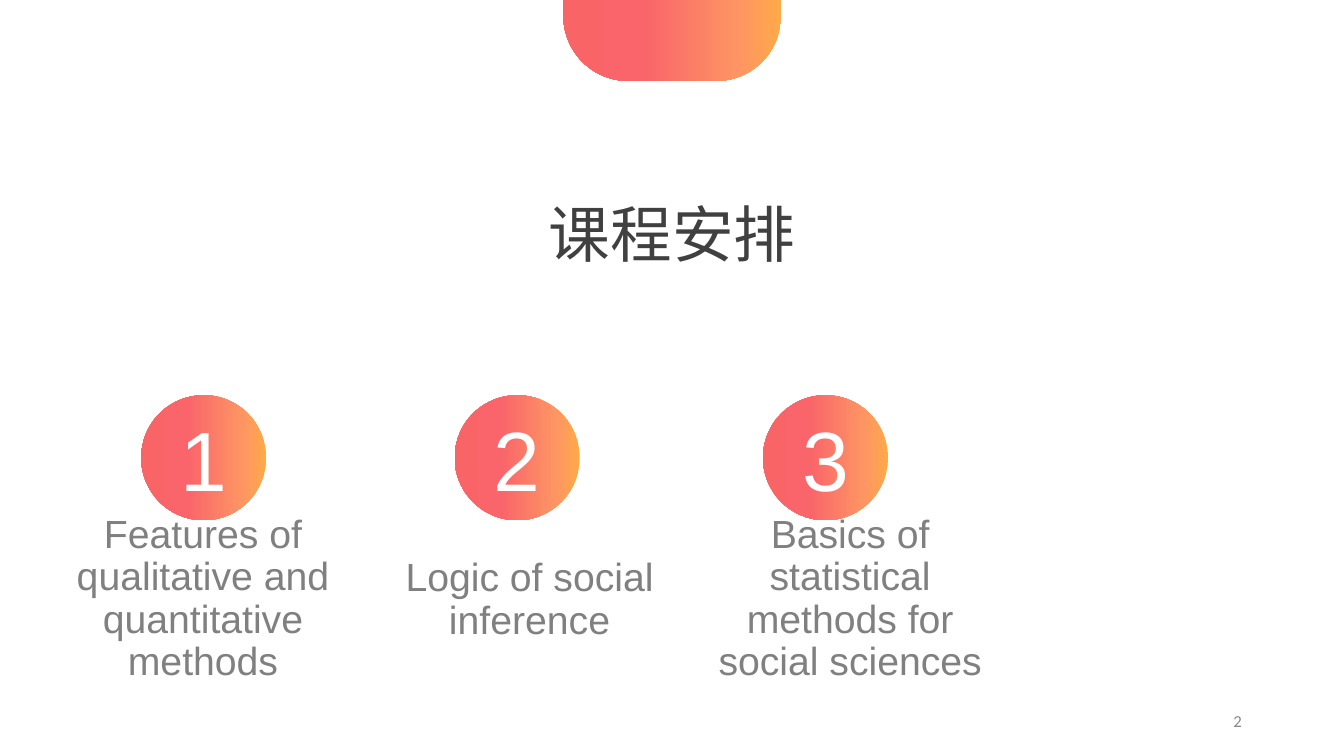
"""Build the course outline slide with three numbered topics."""
from dataclasses import dataclass

from lxml.etree import SubElement
from pptx import Presentation
from pptx.dml.color import RGBColor
from pptx.enum.shapes import MSO_SHAPE
from pptx.enum.text import MSO_ANCHOR, PP_ALIGN
from pptx.oxml.ns import qn
from pptx.shapes.autoshape import Shape
from pptx.slide import Slide
from pptx.util import Cm, Pt

WHITE = RGBColor(0xFF, 0xFF, 0xFF)
DARK = RGBColor(0x40, 0x40, 0x40)
GREY = RGBColor(0x80, 0x80, 0x80)
PALE = RGBColor(0x88, 0x88, 0x88)
AMBER = RGBColor(0xFF, 0xAA, 0x49)
PEACH = RGBColor(0xFE, 0x93, 0x64)
CORAL = RGBColor(0xF9, 0x65, 0x6A)
ROSE = RGBColor(0xF9, 0x65, 0x66)
STOPS = ((0, AMBER), (21, PEACH), (63, CORAL), (100, ROSE))

DISC_TOP = 9.96
DISC_SIZE = 3.15
LABEL_HIGH = 0.64


@dataclass(frozen=True)
class Box:
    """Place and size in centimetres."""
    left: float
    top: float
    width: float
    height: float


@dataclass(frozen=True)
class Style:
    """Look of a line of text."""
    size: int
    color: RGBColor
    font: str = "Arial"
    align: PP_ALIGN = PP_ALIGN.CENTER
    space: float = 1.0


@dataclass(frozen=True)
class Topic:
    """One numbered topic with its disc and label."""
    text: str
    disc_left: float
    left: float
    top: float
    width: float


TITLE = Style(44, DARK, space=0.9)
LABEL = Style(28, GREY, space=0.9)
DIGIT = Style(60, WHITE)
PAGE = Style(12, PALE, "Calibri", PP_ALIGN.RIGHT)

TOPICS = (
    Topic("Features of qualitative and quantitative methods", 3.56, 1.52, 14.78, 7.19),
    Topic("Logic of social inference", 11.46, 9.75, 14.81, 7.19),
    Topic("Basics of statistical methods for social sciences", 19.23, 17.55, 14.78, 7.75),
)


def write(shape: Shape, text: str, style: Style) -> None:
    """Put one styled run into a shape."""
    frame = shape.text_frame
    frame.word_wrap = True
    frame.vertical_anchor = MSO_ANCHOR.MIDDLE
    line = frame.paragraphs[0]
    line.alignment = style.align
    line.line_spacing = style.space
    run = line.add_run()
    run.text = text
    run.font.name = style.font
    run.font.size = Pt(style.size)
    run.font.color.rgb = style.color


def add_text(slide: Slide, box: Box, text: str, style: Style) -> None:
    """Add a text box."""
    shape = slide.shapes.add_textbox(Cm(box.left), Cm(box.top), Cm(box.width), Cm(box.height))
    write(shape, text, style)


def add_warm(slide: Slide, kind: MSO_SHAPE, box: Box) -> Shape:
    """Add a shape with the warm gradient and no outline."""
    shape = slide.shapes.add_shape(
        kind, Cm(box.left), Cm(box.top), Cm(box.width), Cm(box.height))
    shape.shadow.inherit = False
    shape.line.fill.background()
    shape.fill.gradient()
    shape.fill.gradient_angle = 180
    stops = shape.element.spPr.find(qn("a:gradFill")).find(qn("a:gsLst"))
    for old in list(stops):
        stops.remove(old)
    for place, color in STOPS:
        stop = SubElement(stops, qn("a:gs"), pos=str(place * 1000))
        SubElement(stop, qn("a:srgbClr"), val=str(color))
    return shape


def main() -> None:
    """Build and save the slide."""
    deck = Presentation()
    deck.slide_width, deck.slide_height = Cm(33.87), Cm(19.05)
    slide = deck.slides.add_slide(deck.slide_layouts[6])

    add_text(slide, Box(2.97, 5.31, 27.94, 1.35), "课程安排", TITLE)
    tab = add_warm(slide, MSO_SHAPE.ROUNDED_RECTANGLE, Box(14.2, -1.52, 5.49, 3.56))
    tab.adjustments[0] = 0.46

    for count, topic in enumerate(TOPICS, 1):
        disc = add_warm(slide, MSO_SHAPE.OVAL,
                        Box(topic.disc_left, DISC_TOP, DISC_SIZE, DISC_SIZE))
        write(disc, str(count), DIGIT)
        add_text(slide, Box(topic.left, topic.top, topic.width, LABEL_HIGH), topic.text, LABEL)

    add_text(slide, Box(23.93, 17.65, 7.62, 1.02), "2", PAGE)
    deck.save("out.pptx")


if __name__ == "__main__":
    main()
